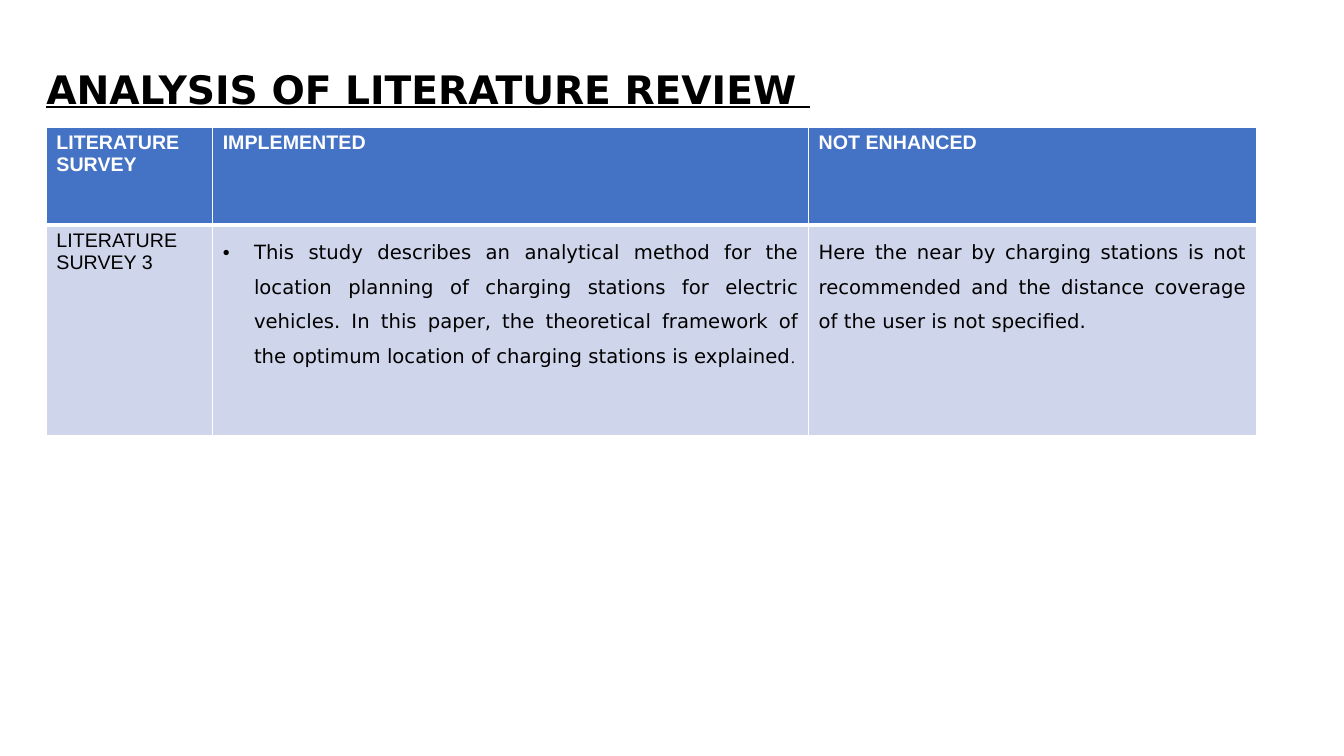
"""Build a slide with a titled table that reviews a literature survey."""
from dataclasses import dataclass

from lxml import etree
from pptx import Presentation
from pptx.dml.color import RGBColor
from pptx.enum.text import MSO_ANCHOR, PP_ALIGN
from pptx.oxml.ns import qn
from pptx.util import Inches, Pt

JUSTIFY = PP_ALIGN.JUSTIFY
MIDDLE = MSO_ANCHOR.MIDDLE


@dataclass(frozen=True)
class Theme:
    """Colours, fonts and type sizes."""
    ink: str = "000000"
    paper: str = "FFFFFF"
    header: str = "4472C4"
    band: str = "CFD5EA"
    sans: str = "Arial"
    wide: str = "DejaVu Sans"
    serif: str = "Times New Roman"
    title: int = 28
    body: int = 14
    small: int = 12
    thin: int = 1
    thick: int = 3


def add_text(p, text, *, font, size, color, bold=False, underline=False):
    """Add a formatted run to a paragraph."""
    r = p.add_run()
    r.text = text
    f = r.font
    f.name, f.size, f.bold, f.underline = font, Pt(size), bold, underline
    f.color.rgb = RGBColor.from_string(color)


class SlideBuilder:
    """Draw styled elements, placed in percent of the slide's size."""

    def __init__(self, prs, theme):
        """Add a blank slide to the presentation."""
        self.prs, self.theme = prs, theme
        self.s = prs.slides.add_slide(prs.slide_layouts[6])

    def x(self, percent):
        """Return a share of the slide's width."""
        return round(self.prs.slide_width * percent / 100)

    def y(self, percent):
        """Return a share of the slide's height."""
        return round(self.prs.slide_height * percent / 100)

    def title(self, text, left, top, width, height):
        """Add the underlined heading."""
        t = self.theme
        sp = self.s.shapes.add_textbox(self.x(left), self.y(top), self.x(width), self.y(height))
        tf = sp.text_frame
        tf.word_wrap = True
        tf.vertical_anchor = MIDDLE
        tf.margin_left = tf.margin_right = tf.margin_top = tf.margin_bottom = 0
        p = tf.paragraphs[0]
        p.line_spacing = 0.9
        add_text(p, text, font=t.wide, size=t.title, color=t.ink, bold=True, underline=True)

    def table(self, left, top, widths, heights):
        """Add an unfilled table and return it."""
        frame = self.s.shapes.add_table(
            len(heights), len(widths), self.x(left), self.y(top),
            self.x(sum(widths)), self.y(sum(heights)))
        table = frame.table
        table.horz_banding = False
        for column, width in zip(table.columns, widths):
            column.width = self.x(width)
        for row, height in zip(table.rows, heights):
            row.height = self.y(height)
        return table

    def cell(self, cell, runs, fill, color, *, bold=False, spacing=None,
             bullet=False, top=1, bottom=1):
        """Fill, border and write one table cell."""
        t = self.theme
        tcPr = cell._tc.get_or_add_tcPr()
        for side, width in zip("LRTB", (t.thin, t.thin, top, bottom)):
            ln = etree.SubElement(tcPr, qn(f"a:ln{side}"), w=str(Pt(width)))
            solid = etree.SubElement(ln, qn("a:solidFill"))
            etree.SubElement(solid, qn("a:srgbClr"), val=t.paper)
        cell.fill.solid()
        cell.fill.fore_color.rgb = RGBColor.from_string(fill)
        p = cell.text_frame.paragraphs[0]
        p.alignment = JUSTIFY
        if spacing:
            p.line_spacing = spacing
        if bullet:
            pPr = p._p.get_or_add_pPr()
            indent = Inches(0.31)
            pPr.set("marL", str(indent))
            pPr.set("indent", str(-indent))
            etree.SubElement(pPr, qn("a:buFont"), typeface=t.sans)
            etree.SubElement(pPr, qn("a:buChar"), char="•")
        for text, font, size in runs:
            add_text(p, text, font=font, size=size, color=color, bold=bold)


def main():
    """Build and save the slide."""
    prs = Presentation()
    prs.slide_width, prs.slide_height = Inches(13.33), Inches(7.5)
    t = Theme()
    slide = SlideBuilder(prs, t)
    left = 3.45
    slide.title("ANALYSIS OF LITERATURE REVIEW ", left, 3.87, 94.07, 16.67)
    table = slide.table(left, 16.8, (12.38, 44.34, 33.31), (12.93, 27.87))

    for col, heading in enumerate(("LITERATURE SURVEY", "IMPLEMENTED", "NOT ENHANCED")):
        slide.cell(table.cell(0, col), [(heading, t.sans, t.body)], t.header, t.paper,
                   bold=True, bottom=t.thick)

    implemented = (
        "This study describes an analytical method for the location planning of "
        "charging stations for electric vehicles. In this paper, the theoretical "
        "framework of the optimum location of charging stations is explained")
    not_enhanced = (
        "Here the near by charging stations is not recommended and the distance "
        "coverage of the user is not specified. ")
    findings = (
        ([("LITERATURE SURVEY 3", t.sans, t.body)], {}),
        ([(implemented, t.wide, t.body), (".", t.serif, t.small)],
         {"spacing": 1.5, "bullet": True}),
        ([(not_enhanced, t.wide, t.body)], {"spacing": 1.5}),
    )
    for col, (runs, style) in enumerate(findings):
        slide.cell(table.cell(1, col), runs, t.band, t.ink, top=t.thick, **style)
    prs.save("out.pptx")


if __name__ == "__main__":
    main()
